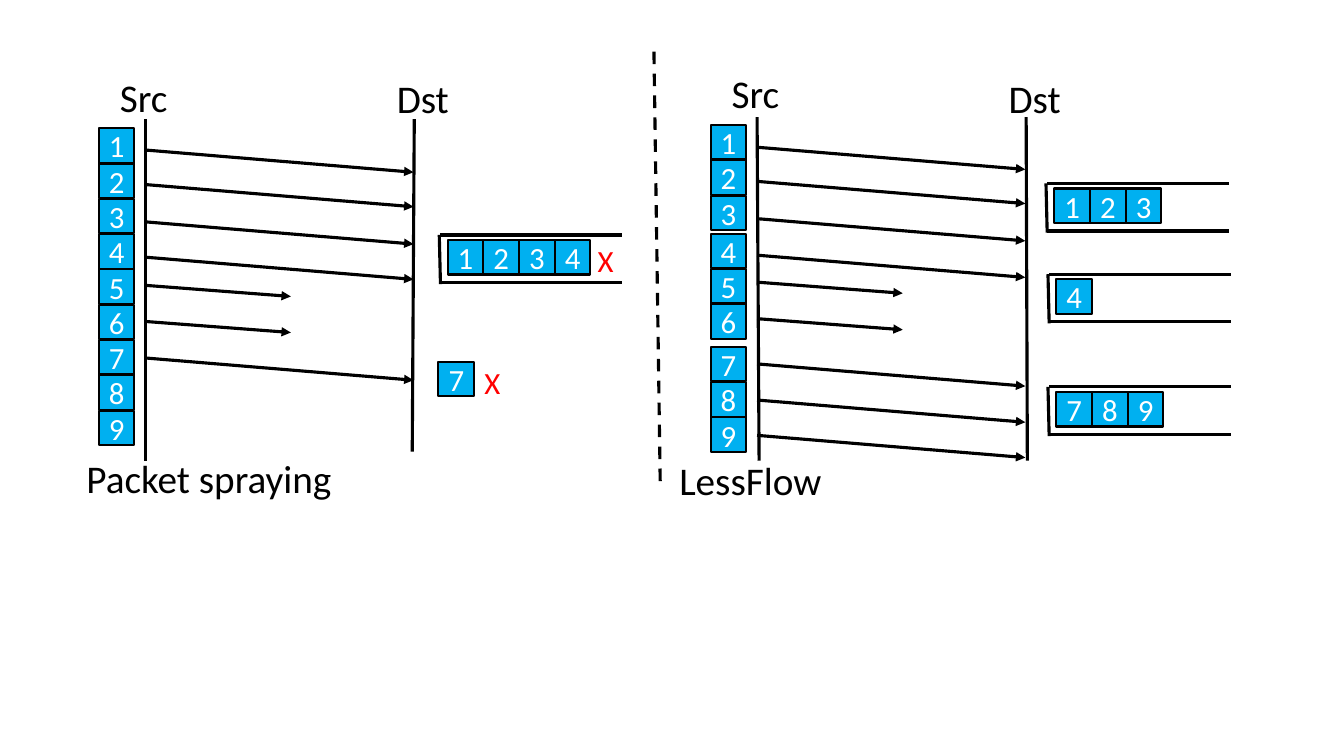
from lxml import etree
from pptx import Presentation
from pptx.dml.color import RGBColor
from pptx.enum.dml import MSO_LINE
from pptx.enum.shapes import MSO_CONNECTOR, MSO_SHAPE
from pptx.enum.text import MSO_ANCHOR, MSO_AUTO_SIZE, PP_ALIGN
from pptx.oxml.ns import qn
from pptx.util import Cm, Pt

STRAIGHT, RECTANGLE = MSO_CONNECTOR.STRAIGHT, MSO_SHAPE.RECTANGLE
DASH = MSO_LINE.DASH
CENTER, MIDDLE = PP_ALIGN.CENTER, MSO_ANCHOR.MIDDLE
FIT_TEXT = MSO_AUTO_SIZE.SHAPE_TO_FIT_TEXT

COLORS = {"ink": "000000", "packet": "00B0F0", "digit": "FFFFFF", "drop": "FF0000"}
PACKET_W, PACKET_H, PITCH = 0.9, 0.87, 0.89
LABEL_SIZE, PACKET_SIZE = 28, 22
SRC_X, DST_X, SENT_X = 3.66, 10.44, 2.49
FULL_TRIP, LOST_TRIP = (6.76, 0.56), (3.67, 0.28)
LOST = (5, 6)


def rgb(name):
    return RGBColor.from_string(COLORS[name])


class FlowSlide:
    """Holds the text style and the current slide; all lengths are in cm."""

    def __init__(self, slide, font="Calibri"):
        self.shapes = slide.shapes
        self.font = font

    def add_text(self, frame, text, size, color):
        run = frame.paragraphs[0].add_run()
        run.text = text
        run.font.name = self.font
        run.font.size = Pt(size)
        run.font.color.rgb = rgb(color)

    def label(self, text, x, y, width, height=1.45, size=LABEL_SIZE, color="ink"):
        box = self.shapes.add_textbox(Cm(x), Cm(y), Cm(width), Cm(height))
        box.text_frame.word_wrap = False
        box.text_frame.auto_size = FIT_TEXT
        self.add_text(box.text_frame, text, size, color)

    def drop_mark(self, x, y):
        self.label("X", x, y, 0.91, 1.19, PACKET_SIZE, "drop")

    def packet(self, number, x, y):
        box = self.shapes.add_shape(RECTANGLE, Cm(x), Cm(y), Cm(PACKET_W), Cm(PACKET_H))
        box.shadow.inherit = False
        box.fill.solid()
        box.fill.fore_color.rgb = rgb("packet")
        box.line.color.rgb = rgb("ink")
        box.line.width = Pt(1.5)
        box.text_frame.vertical_anchor = MIDDLE
        box.text_frame.paragraphs[0].alignment = CENTER
        self.add_text(box.text_frame, str(number), PACKET_SIZE, "digit")

    def line(self, x1, y1, x2, y2, arrow=False, dash=None):
        link = self.shapes.add_connector(STRAIGHT, Cm(x1), Cm(y1), Cm(x2), Cm(y2))
        link.line.color.rgb = rgb("ink")
        link.line.width = Pt(2.25)
        if dash:
            link.line.dash_style = dash
        properties = link._element.spPr
        if arrow:
            outline = properties.find(qn("a:ln"))
            etree.SubElement(outline, qn("a:tailEnd"), type="triangle")
        etree.SubElement(properties, qn("a:effectLst"))

    def queue(self, numbers, x, y, length=4.57, height=1.2):
        for edge_y in (y, y + height):
            self.line(x, edge_y, x + length, edge_y)
        self.line(x - 0.03, y, x, y + height + 0.04)
        for place, number in enumerate(numbers):
            self.packet(number, x + 0.18 + place * PACKET_W, y + 0.13)

    def panel(self, panel):
        """Draws one scheme: time axes, sent packets, arrows and queues."""
        shift = panel["shift"]

        # Time axes with their labels
        for x, (lean, top, bottom) in zip((SRC_X, DST_X), panel["axes"]):
            self.line(x + shift, top, x + shift + lean, bottom)
        self.label("Src", 2.77 + shift, panel["src_label_y"], 1.73)
        self.label("Dst", 9.75 + shift, 1.74, 1.85)

        # Sent packets, numbered through the groups
        number = 1
        for top, count in panel["groups"]:
            for row in range(count):
                self.packet(number, SENT_X + shift, top + row * PITCH)
                number += 1

        # Trips, the lost ones ending halfway
        for number, y in enumerate(panel["departures"], start=1):
            run, fall = LOST_TRIP if number in LOST else FULL_TRIP
            x = SRC_X + shift
            self.line(x, y, x + run, y + fall, arrow=True)

        # Receiving queues and caption
        for numbers, x, y in panel["queues"]:
            self.queue(numbers, x, y)
        self.label(*panel["caption"])


PACKET_SPRAYING = {
    "shift": 0,
    "axes": [(0, 3.0, 11.61), (-0.05, 3.0, 11.38)],
    "src_label_y": 1.73,
    "groups": [(3.23, 9)],
    "departures": [3.78, 4.65, 5.59, 6.48, 7.19, 8.1, 9.02],
    "queues": [((1, 2, 3, 4), 11.1, 5.92)],
    "caption": ("Packet spraying", 1.93, 11.33, 6.76),
}
LESS_FLOW = {
    "shift": 15.42,
    "axes": [(0.05, 2.95, 11.61), (0.03, 2.95, 11.61)],
    "src_label_y": 1.63,
    "groups": [(3.15, 3), (5.89, 3), (8.74, 3)],
    "departures": [3.71, 4.57, 5.51, 6.43, 7.11, 8.03, 9.17, 10.08, 10.97],
    "queues": [((1, 2, 3), 26.39, 4.62), ((4,), 26.44, 6.91), ((7, 8, 9), 26.44, 9.75)],
    "caption": ("LessFlow", 16.87, 11.38, 4.14),
}


def main():
    deck = Presentation()
    deck.slide_width, deck.slide_height = Cm(33.87), Cm(19.05)
    flow = FlowSlide(deck.slides.add_slide(deck.slide_layouts[6]))

    for scheme in (PACKET_SPRAYING, LESS_FLOW):
        flow.panel(scheme)

    # Packets that spraying drops
    flow.drop_mark(14.81, 5.97)
    flow.packet(7, 11.05, 9.12)
    flow.drop_mark(11.96, 9.04)

    # Divider between the schemes
    flow.line(16.48, 1.3, 16.64, 12.29, dash=DASH)

    deck.save("out.pptx")


if __name__ == "__main__":
    main()
